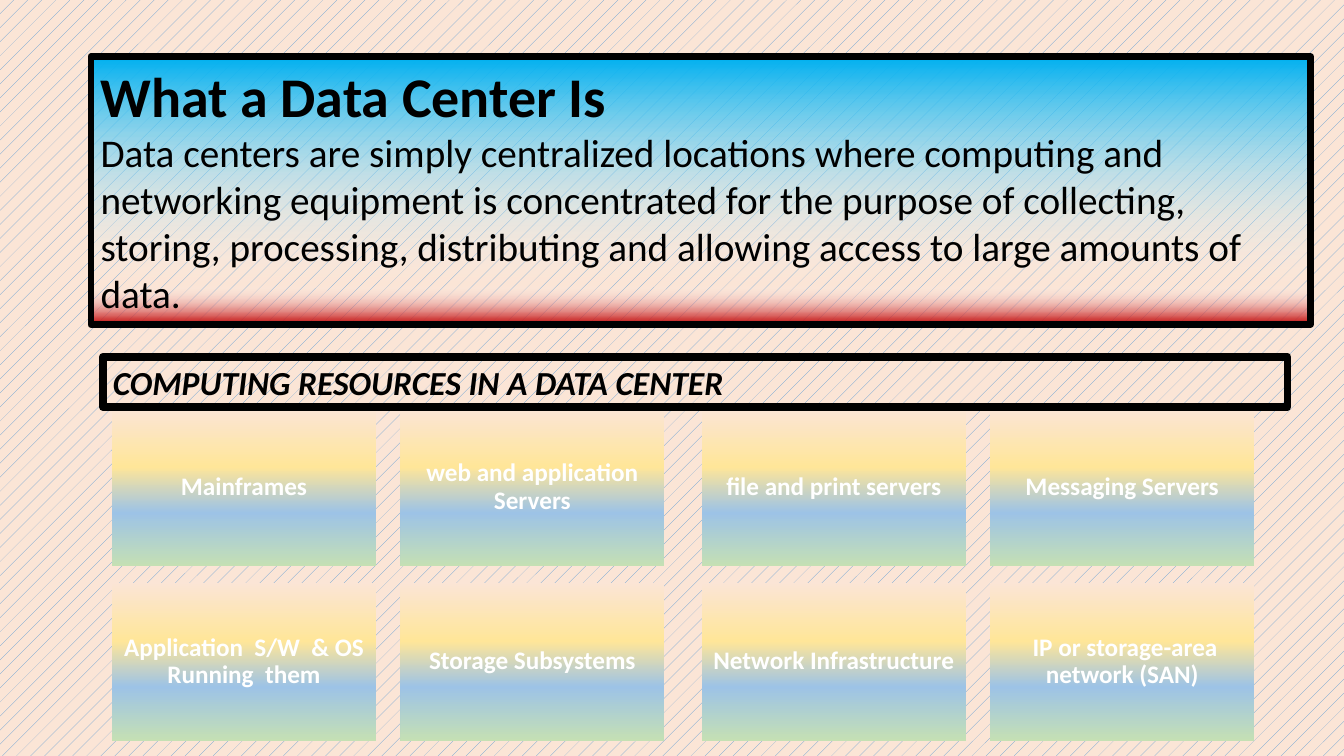
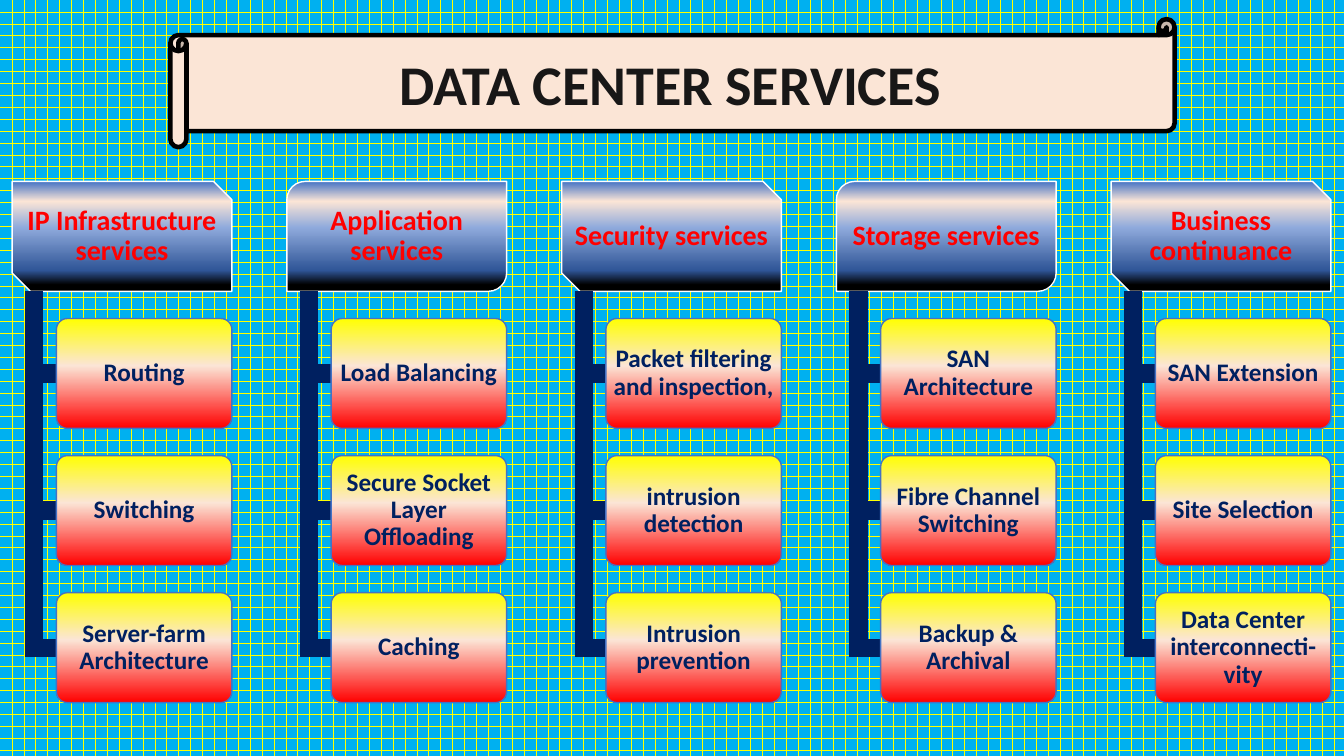
from lxml import etree
from pptx import Presentation
from pptx.dml.color import RGBColor
from pptx.enum import dml, shapes, text
from pptx.oxml import ns
from pptx.util import Inches, Pt

FONT = "Calibri"
COLORS = {
    "black": "000000", "white": "FFFFFF", "peach": "FBE5D6", "sky": "00B0F0",
    "steel": "5B9BD5", "yellow": "FFFF00", "red": "FF0000", "crimson": "C00000",
    "gold": "FFE699", "powder": "9DC3E6", "mint": "C5E0B4", "blue": "4472C4",
    "periwinkle": "8FAADC", "royal": "2F5597", "navy": "002060", "ink": "181717",
}
GRADIENTS = {
    "intro": [(0, "peach"), (0, "sky"), (85, "white", 0), (100, "crimson")],
    "resource": [(0, "peach"), (37, "gold"), (66, "powder"), (100, "mint")],
    "service": [(0, "blue"), (18, "peach"), (42, "periwinkle"), (81, "royal"), (94, "black")],
    "item": [(0, "yellow"), (43, "peach"), (100, "red")],
}

INTRO_TITLE = "What a Data Center Is"
INTRO_TEXT = (
    "Data centers are simply centralized locations where computing and networking "
    "equipment is concentrated for the purpose of collecting, storing, processing, "
    "distributing and allowing access to large amounts of data."
)
RESOURCE_TITLE = "COMPUTING RESOURCES IN A DATA CENTER"
RESOURCES = [
    ["Mainframes", "web and application Servers", "file and print servers", "Messaging Servers"],
    ["Application  S/W  & OS Running  them", "Storage Subsystems",
     "Network Infrastructure", " IP or storage-area network (SAN)"],
]
RESOURCE_LEFTS = (1.11, 3.97, 6.96, 9.82)
RESOURCE_TOPS = (4.05, 5.78)

SERVICES_TITLE = "DATA CENTER SERVICES "
SERVICES = [
    ("IP Infrastructure services", ["Routing", "Switching", "Server-farm Architecture"]),
    ("Application services", ["Load Balancing", "Secure Socket Layer Offloading", "Caching"]),
    ("Security services",
     ["Packet filtering and inspection,", "intrusion detection", "Intrusion prevention"]),
    ("Storage services", ["SAN Architecture", "Fibre Channel Switching", "Backup & Archival"]),
    ("Business continuance",
     ["SAN Extension", "Site Selection", "Data Center interconnecti-vity"]),
]
FIRST_LEFT, LAST_LEFT = 0.12, 11.02
SERVICE_TOP, SERVICE_WIDTH, BOX_HEIGHT = 1.8, 2.18, 1.09
ITEM_TOP, ITEM_PITCH, ITEM_INDENT, ITEM_WIDTH = 3.16, 1.36, 0.44, 1.74
SPINE_INDENT = 0.22


def rgb(name):
    return RGBColor.from_string(COLORS[name])


def add_slide(prs, pattern, fore, back):
    s = prs.slides.add_slide(prs.slide_layouts[6])
    fill = s.background.fill
    fill.patterned()
    fill.pattern = pattern
    fill.fore_color.rgb = rgb(fore)
    fill.back_color.rgb = rgb(back)
    return s


def fill_gradient(sp, stops):
    sp.fill.gradient()
    sp.fill.gradient_angle = 270
    gs_list = next(sp._element.spPr.iter(ns.qn("a:gsLst")))
    for gs in list(gs_list):
        gs_list.remove(gs)
    for position, color, *alpha in stops:
        gs = etree.SubElement(gs_list, ns.qn("a:gs"), pos=str(position * 1000))
        clr = etree.SubElement(gs, ns.qn("a:srgbClr"), val=COLORS[color])
        for value in alpha:
            etree.SubElement(clr, ns.qn("a:alpha"), val=str(value * 1000))


def add_box(s, kind, at, gradient=None, fill=None, line=None, width=1):
    sp = s.shapes.add_shape(kind, *map(Inches, at))
    sp.shadow.inherit = False
    if gradient:
        fill_gradient(sp, GRADIENTS[gradient])
    elif fill:
        sp.fill.solid()
        sp.fill.fore_color.rgb = rgb(fill)
    else:
        sp.fill.background()
    if line:
        sp.line.color.rgb = rgb(line)
        sp.line.width = Pt(width)
    else:
        sp.line.fill.background()
    return sp


def write(sp, content, size, color="black", bold=True, italic=False, centered=True,
          spacing=None, insets=None, grow=False, append=False):
    tf = sp.text_frame
    tf.word_wrap = True
    tf.vertical_anchor = text.MSO_ANCHOR.MIDDLE if centered else text.MSO_ANCHOR.TOP
    if grow:
        tf.auto_size = text.MSO_AUTO_SIZE.SHAPE_TO_FIT_TEXT
    if insets:
        tf.margin_left = tf.margin_right = Inches(insets[0])
        tf.margin_top = tf.margin_bottom = Inches(insets[1])
    p = tf.add_paragraph() if append else tf.paragraphs[0]
    p.alignment = text.PP_ALIGN.CENTER if centered else text.PP_ALIGN.LEFT
    if spacing:
        p.line_spacing = spacing
    r = p.add_run()
    r.text = content
    r.font.name = FONT
    r.font.size = Pt(size)
    r.font.bold = bold
    r.font.italic = italic
    r.font.color.rgb = rgb(color)


def add_elbow(s, left, top, right, bottom):
    builder = s.shapes.build_freeform(Inches(left), Inches(top))
    builder.add_line_segments(
        [(Inches(left), Inches(bottom)), (Inches(right), Inches(bottom))], close=False)
    sp = builder.convert_to_shape()
    sp.shadow.inherit = False
    sp.fill.background()
    sp.line.color.rgb = rgb("navy")
    sp.line.width = Pt(13)
    etree.SubElement(sp.line._get_or_add_ln(), ns.qn("a:miter"), lim="800000")


def build_resources(prs):
    s = add_slide(prs, dml.MSO_PATTERN.PERCENT_5, "steel", "peach")
    rect = shapes.MSO_SHAPE.RECTANGLE
    intro = add_box(s, rect, (0.9, 0.56, 12.1, 2.66), gradient="intro", line="black", width=4.5)
    write(intro, INTRO_TITLE, 40, centered=False, grow=True)
    write(intro, INTRO_TEXT, 28, bold=False, centered=False, grow=True, append=True)
    for top, labels in zip(RESOURCE_TOPS, RESOURCES):
        for left, label in zip(RESOURCE_LEFTS, labels):
            card = add_box(s, rect, (left, top, 2.62, 1.57), gradient="resource")
            write(card, label, 18, "white", spacing=0.9, insets=(0.07, 0.07))
    heading = add_box(s, rect, (1.02, 3.54, 11.75, 0.5), line="black", width=5.5)
    write(heading, RESOURCE_TITLE, 24, italic=True, centered=False, grow=True)


def build_services(prs):
    s = add_slide(prs, dml.MSO_PATTERN.HORIZONTAL_BRICK, "yellow", "sky")
    kinds = (shapes.MSO_SHAPE.SNIP_2_DIAG_RECTANGLE, shapes.MSO_SHAPE.ROUND_2_DIAG_RECTANGLE)
    pitch = (LAST_LEFT - FIRST_LEFT) / (len(SERVICES) - 1)
    label_format = {"spacing": 0.9, "insets": (0.04, 0.03)}
    for column, (service, items) in enumerate(SERVICES):
        left = FIRST_LEFT + column * pitch
        header = add_box(s, kinds[column % 2], (left, SERVICE_TOP, SERVICE_WIDTH, BOX_HEIGHT),
                         gradient="service", line="white")
        write(header, service, 20, "red", **label_format)
        item_left = left + ITEM_INDENT
        for row, item in enumerate(items):
            top = ITEM_TOP + row * ITEM_PITCH
            add_elbow(s, left + SPINE_INDENT, SERVICE_TOP + BOX_HEIGHT,
                      item_left, top + BOX_HEIGHT / 2)
            card = add_box(s, shapes.MSO_SHAPE.ROUNDED_RECTANGLE,
                           (item_left, top, ITEM_WIDTH, BOX_HEIGHT), gradient="item", line="blue")
            card.adjustments[0] = 0.1
            write(card, item, 18, "navy", **label_format)
    banner = add_box(s, shapes.MSO_SHAPE.HORIZONTAL_SCROLL, (1.69, 0.19, 9.96, 1.27),
                     fill="peach", line="black", width=3.25)
    write(banner, SERVICES_TITLE, 40, "ink")


def main():
    prs = Presentation()
    prs.slide_width, prs.slide_height = Inches(13.33), Inches(7.5)
    build_resources(prs)
    build_services(prs)
    prs.save("out.pptx")


if __name__ == "__main__":
    main()
